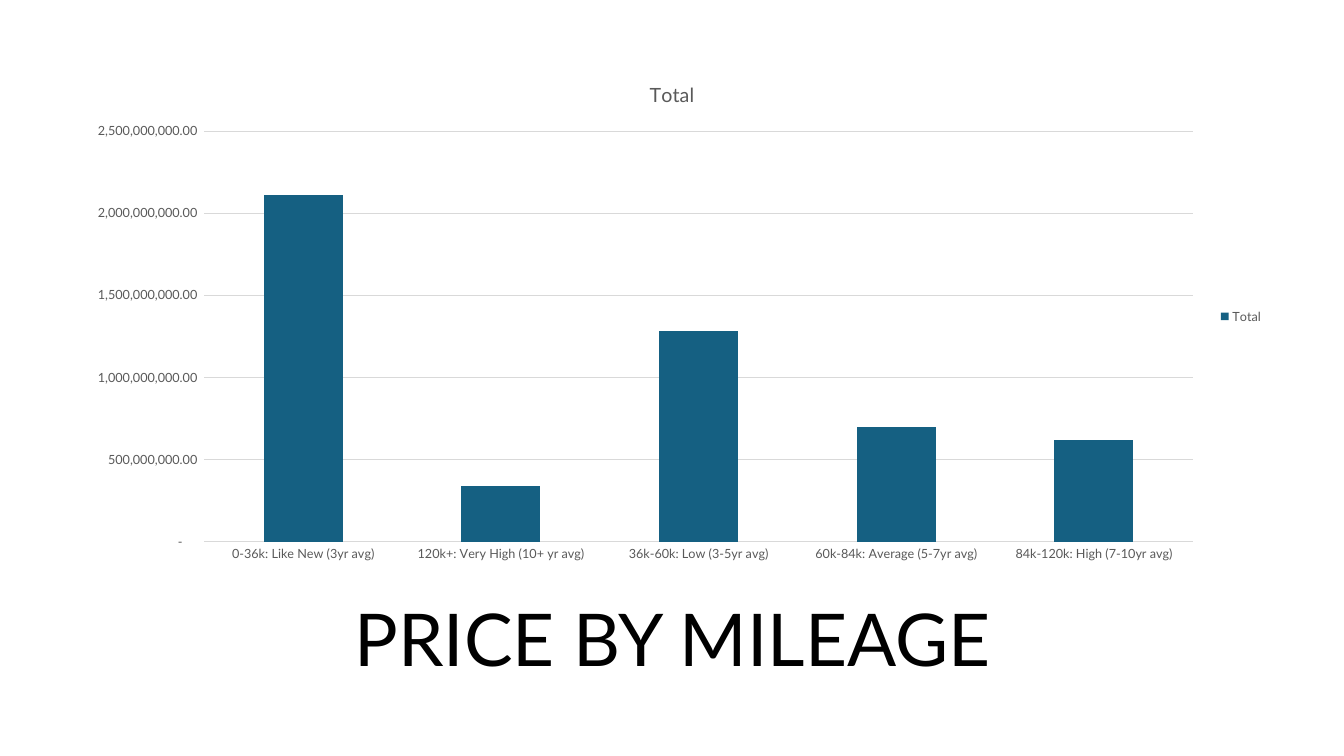
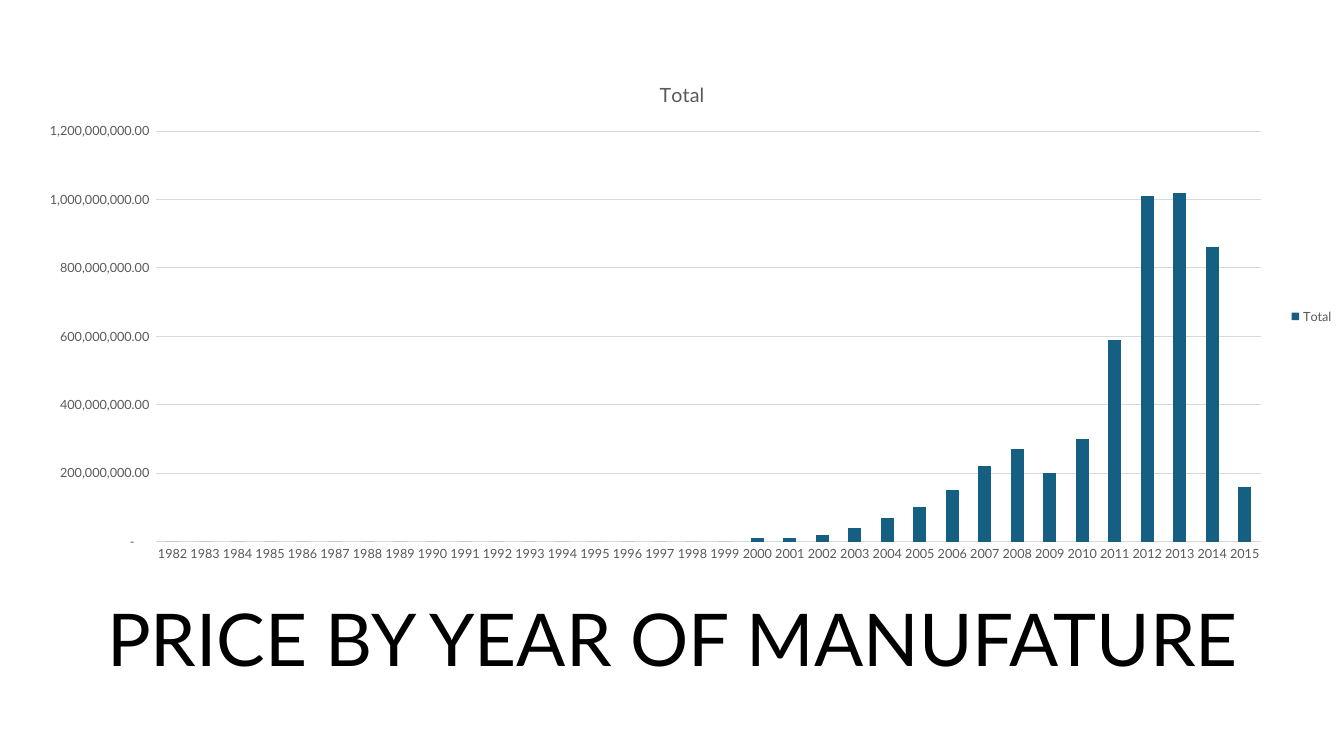
import pptx
import pptx.util
import pptx.chart.data
import pptx.dml.color
import pptx.enum.chart
import pptx.enum.text

Inches = pptx.util.Inches
Pt = pptx.util.Pt
RGBColor = pptx.dml.color.RGBColor

# Shared style
FONT = "Lato"
BLACK = RGBColor(0x00, 0x00, 0x00)
LABEL_GRAY = RGBColor(0x59, 0x59, 0x59)
GRID_GRAY = RGBColor(0xD9, 0xD9, 0xD9)
BAR_BLUE = RGBColor(0x15, 0x60, 0x82)
PRICE_FORMAT = r'_(* #,##0.00_);_(* \(#,##0.00\);_(* "-"??_);_(@_)'
MILLION = 1_000_000

# Boxes: left, top, width, height
TITLE_BOX = (0.92, 5.86, 11.5, 1.03)
MILEAGE_BOX = (0.7, 0.61, 11.93, 5.06)
YEAR_BOX = (0.2, 0.61, 13.13, 5.06)

# Total price in millions
MILEAGE_PRICES = {
    "0-36k: Like New (3yr avg)": 2110,
    "120k+: Very High (10+ yr avg)": 340,
    "36k-60k: Low (3-5yr avg)": 1280,
    "60k-84k: Average (5-7yr avg)": 700,
    "84k-120k: High (7-10yr avg)": 620,
}
FIRST_YEAR = 1982
YEARLY_PRICES = [0] * 18 + [10, 10, 20, 40, 70, 100, 150, 220, 270, 200,
                            300, 590, 1010, 1020, 860, 160]
YEAR_PRICES = {str(year): price
               for year, price in enumerate(YEARLY_PRICES, FIRST_YEAR)}


def style_font(font, size, color):
    font.name = FONT
    font.size = Pt(size)
    font.bold = False
    font.color.rgb = color


def add_text(slide, box, text, *, size, color=BLACK, line_spacing=0.9,
             align=pptx.enum.text.PP_ALIGN.CENTER,
             anchor=pptx.enum.text.MSO_ANCHOR.MIDDLE):
    frame = slide.shapes.add_textbox(*map(Inches, box)).text_frame
    frame.word_wrap = True
    frame.vertical_anchor = anchor
    paragraph = frame.paragraphs[0]
    paragraph.alignment = align
    paragraph.line_spacing = line_spacing
    run = paragraph.add_run()
    run.text = text
    style_font(run.font, size, color)


def style_axis(axis):
    axis.major_tick_mark = pptx.enum.chart.XL_TICK_MARK.NONE
    axis.minor_tick_mark = pptx.enum.chart.XL_TICK_MARK.NONE
    axis.format.line.fill.background()
    style_font(axis.tick_labels.font, 9, LABEL_GRAY)


def add_price_chart(slide, box, prices):
    totals = pptx.chart.data.CategoryChartData(number_format=PRICE_FORMAT)
    totals.categories = list(prices)
    totals.add_series("Total", [price * MILLION for price in prices.values()])
    chart = slide.shapes.add_chart(
        pptx.enum.chart.XL_CHART_TYPE.COLUMN_STACKED,
        *map(Inches, box), totals).chart
    style_font(chart.font, 10, BLACK)

    # Heading and legend
    chart.has_title = True
    heading = chart.chart_title.text_frame.paragraphs[0].add_run()
    heading.text = "Total"
    style_font(heading.font, 14, LABEL_GRAY)
    chart.chart_title.include_in_layout = False
    chart.has_legend = True
    chart.legend.position = pptx.enum.chart.XL_LEGEND_POSITION.RIGHT
    chart.legend.include_in_layout = False
    style_font(chart.legend.font, 9, LABEL_GRAY)

    # Axes and gridlines
    style_axis(chart.category_axis)
    price_axis = chart.value_axis
    style_axis(price_axis)
    price_axis.tick_labels.number_format = PRICE_FORMAT
    price_axis.tick_labels.number_format_is_linked = False
    price_axis.has_major_gridlines = True
    gridline = price_axis.major_gridlines.format.line
    gridline.color.rgb = GRID_GRAY
    gridline.width = Pt(0.75)

    # Columns
    columns = chart.plots[0]
    columns.vary_by_categories = False
    columns.gap_width = 150
    columns.overlap = 100
    bar_fill = columns.series[0].format.fill
    bar_fill.solid()
    bar_fill.fore_color.rgb = BAR_BLUE


def add_price_slide(deck, title, chart_box, prices):
    slide = deck.slides.add_slide(deck.slide_layouts[6])
    add_text(slide, TITLE_BOX, title, size=52)
    add_price_chart(slide, chart_box, prices)


def main():
    deck = pptx.Presentation()
    deck.slide_width = Inches(13.33)
    deck.slide_height = Inches(7.5)
    add_price_slide(deck, "PRICE BY MILEAGE", MILEAGE_BOX, MILEAGE_PRICES)
    add_price_slide(deck, "PRICE BY YEAR OF MANUFATURE", YEAR_BOX, YEAR_PRICES)
    deck.save("out.pptx")


if __name__ == "__main__":
    main()
